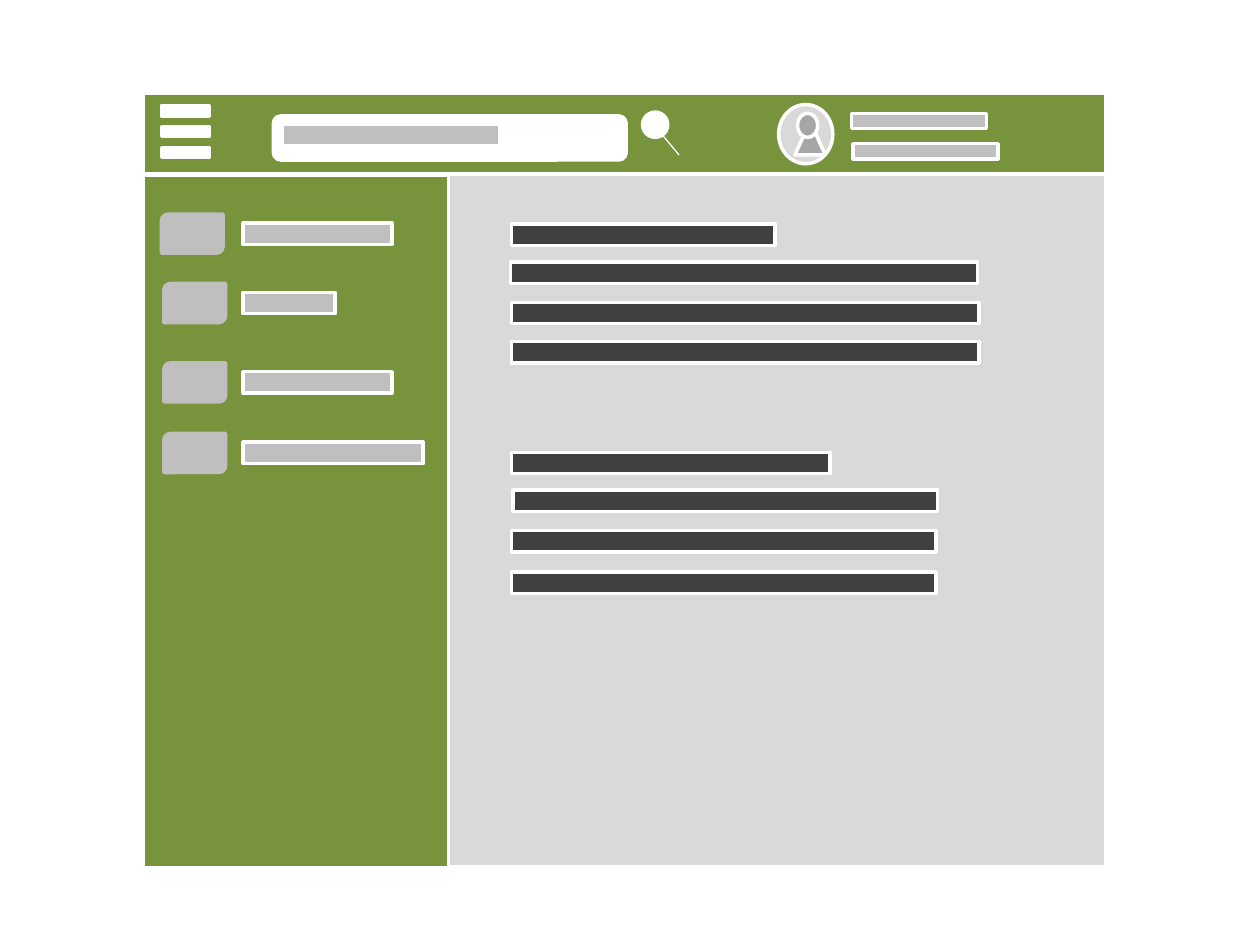
from collections import namedtuple

from lxml.etree import SubElement
from pptx import Presentation
from pptx.dml.color import RGBColor
from pptx.enum.shapes import MSO_CONNECTOR, MSO_SHAPE
from pptx.oxml.ns import qn
from pptx.util import Inches, Pt

Box = namedtuple("Box", "left top width height")

WHITE = "FFFFFF"
GREEN = "77933C"
PALE = "D9D9D9"
SILVER = "BFBFBF"
GREY = "A6A6A6"
DARK = "404040"


def color(value):
    return RGBColor.from_string(value)


def inside(box, left, top, width, height):
    return Box(box.left + left, box.top + top, width, height)


def set_line(line, value, width):
    line.color.rgb = color(value)
    line.width = Pt(width)


def add_block(page, box, fill, kind=MSO_SHAPE.RECTANGLE, outline=WHITE):
    shape = page.shapes.add_shape(kind, *(Inches(length) for length in box))
    shape.shadow.inherit = False
    shape.fill.solid()
    shape.fill.fore_color.rgb = color(fill)
    set_line(shape.line, outline, 2)


def add_handle(page, box):
    ends = box.left, box.top, box.left + box.width, box.top + box.height
    handle = page.shapes.add_connector(
        MSO_CONNECTOR.STRAIGHT, *(Inches(length) for length in ends))
    set_line(handle.line, WHITE, 0.75)
    SubElement(handle._element.spPr, qn("a:effectLst"))


def draw_profile(page, box):
    add_block(page, inside(box, 0, 0, 0.43, 0.47), PALE, MSO_SHAPE.OVAL)
    for left, top, width in ((0.58, 0.07, 1.07), (0.59, 0.31, 1.15)):
        add_block(page, inside(box, left, top, width, 0.12), SILVER)
    add_block(page, inside(box, 0.13, 0.13, 0.24, 0.27), GREY,
              MSO_SHAPE.ISOSCELES_TRIANGLE)
    add_block(page, inside(box, 0.15, 0.07, 0.16, 0.19), GREY, MSO_SHAPE.OVAL)


def draw_menu_button(page, box):
    bar_height = 0.08
    step = (box.height - bar_height) / 2
    for row in range(3):
        add_block(page, inside(box, 0, row * step, box.width, bar_height), WHITE)


def draw_search(page, box):
    add_block(page, inside(box, 0, 0.03, 2.8, 0.35), WHITE,
              MSO_SHAPE.ROUNDED_RECTANGLE)
    add_block(page, inside(box, 2.93, 0, 0.2, 0.2), WHITE, MSO_SHAPE.OVAL)
    add_handle(page, inside(box, 2.96, 0.03, 0.26, 0.31))
    add_block(page, inside(box, 0.07, 0.1, 1.73, 0.17), SILVER)


def draw_header(page, box):
    add_block(page, box, GREEN)
    draw_profile(page, inside(box, 5.04, 0.09, 1.74, 0.47))
    draw_menu_button(page, inside(box, 0.14, 0.1, 0.38, 0.41))
    draw_search(page, inside(box, 1.03, 0.15, 3.22, 0.38))


def draw_sidebar(page, box):
    add_block(page, box, GREEN)
    items = ((0.14, 0.31, 1.18), (0.16, 0.86, 0.73),
             (0.16, 1.49, 1.18), (0.16, 2.05, 1.43))
    for left, top, width in items:
        add_block(page, inside(box, left, top, 0.49, 0.31), SILVER,
                  MSO_SHAPE.ROUND_2_DIAG_RECTANGLE, SILVER)
        add_block(page, inside(box, 0.79, top + 0.07, width, 0.17), SILVER)


def draw_paragraph(page, box, heading_width, nudge, tops):
    widths = [heading_width] + [box.width] * 3
    lefts = [0, nudge, 0, 0]
    for left, top, width in zip(lefts, tops, widths):
        add_block(page, inside(box, left, top, width, 0.17), DARK)


def draw_content(page, box):
    draw_paragraph(page, inside(box, 0.5, 0.39, 3.71, 1.1), 2.09, -0.01,
                   (0, 0.3, 0.62, 0.93))
    draw_paragraph(page, inside(box, 0.5, 2.2, 3.37, 1.12), 2.53, 0.01,
                   (0, 0.3, 0.62, 0.95))


def draw_window(page, box):
    header_height, sidebar_width = 0.64, 2.42
    body_top = header_height + 0.01
    body_height = box.height - header_height
    add_block(page, box, PALE)
    draw_header(page, inside(box, 0, 0, box.width, header_height))
    draw_sidebar(page, inside(box, 0, body_top, sidebar_width, body_height))
    draw_content(page, inside(box, sidebar_width, body_top,
                              box.width - sidebar_width, body_height))


def main():
    deck = Presentation()
    size = {"slide_width": Inches(10), "slide_height": Inches(7.5)}
    for name, value in size.items():
        setattr(deck, name, value)
    page = deck.slides.add_slide(deck.slide_layouts[6])
    draw_window(page, Box(1.14, 0.74, 7.64, 6.14))
    deck.save("out.pptx")


if __name__ == "__main__":
    main()
